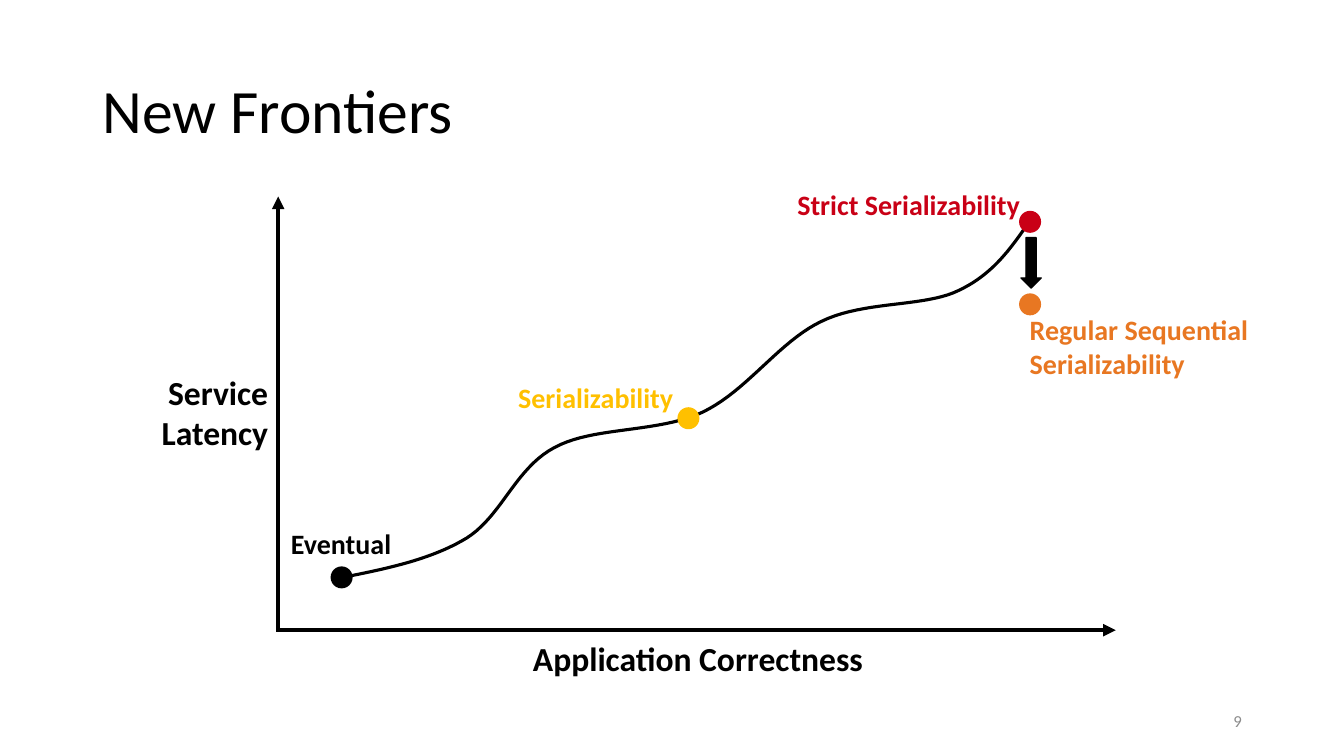
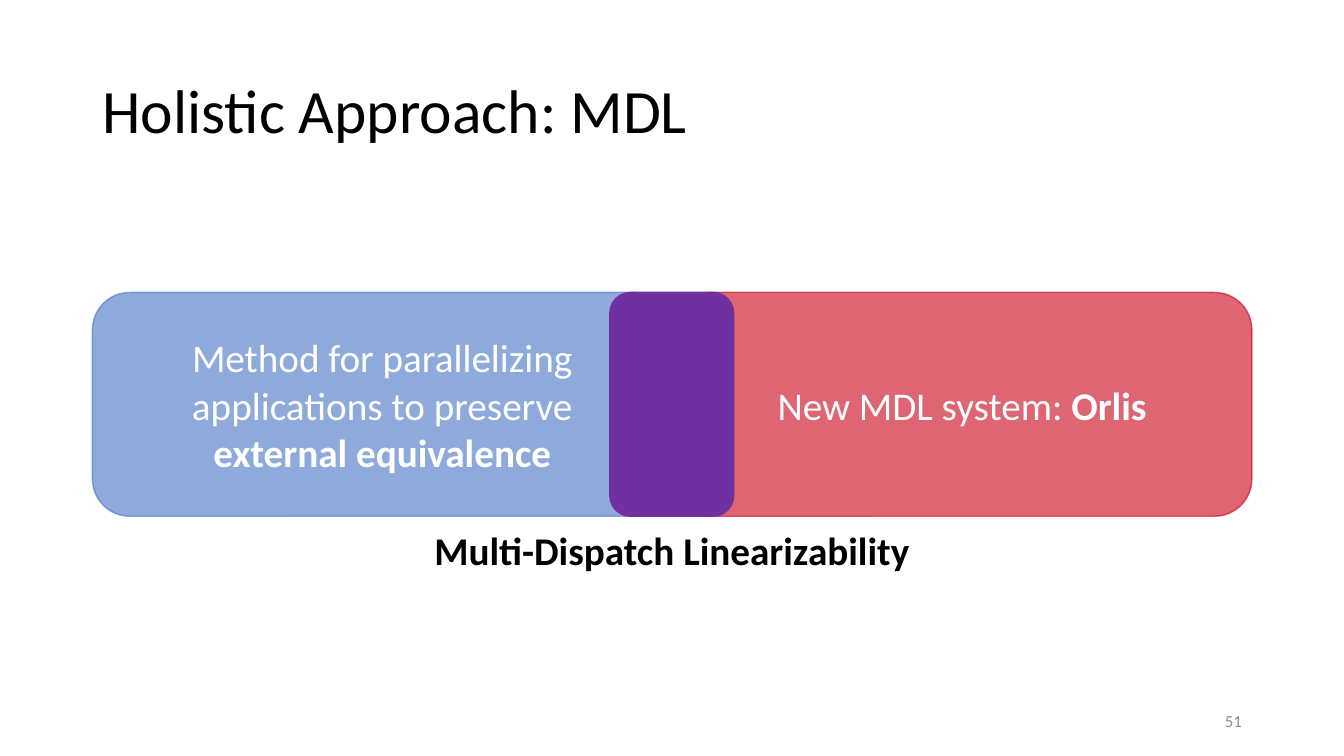
"""Build two slides on consistency models: a latency curve and a layered approach."""
from dataclasses import dataclass

from lxml.etree import SubElement
from pptx import Presentation
from pptx.dml.color import RGBColor
from pptx.enum.shapes import MSO_CONNECTOR, MSO_SHAPE
from pptx.enum.text import MSO_ANCHOR, PP_ALIGN
from pptx.oxml.ns import qn
from pptx.util import Cm, Pt


@dataclass(frozen=True)
class Theme:
    font: str = "Calibri"
    black: str = "000000"
    white: str = "FFFFFF"
    gray: str = "8C8C8C"
    red: str = "C90016"
    gold: str = "FFC000"
    orange: str = "E87722"
    blue: str = "4472C4"
    purple: str = "7030A0"
    title: int = 44
    statement: int = 28
    axis: int = 24
    label: int = 20
    number: int = 12
    axis_line: float = 3
    curve_line: float = 2.25
    outline: float = 1


THEME = Theme()
LEFT, CENTER, RIGHT = PP_ALIGN.LEFT, PP_ALIGN.CENTER, PP_ALIGN.RIGHT
DOT = 0.52
LABEL_WIDTH = 6.17


def lengths(*values):
    return [Cm(value) for value in values]


def bezier(start, first, second, end, steps=20):
    for step in range(1, steps + 1):
        t = step / steps
        weights = ((1 - t) ** 3, 3 * t * (1 - t) ** 2, 3 * t * t * (1 - t), t ** 3)
        points = (start, first, second, end)
        yield tuple(
            Cm(sum(weight * point[axis] for weight, point in zip(weights, points)))
            for axis in (0, 1)
        )


class SlidePainter:
    def __init__(self, deck, theme):
        self.deck = deck
        self.theme = theme
        self.page = None

    def new_page(self, title, number):
        theme = self.theme
        self.page = self.deck.slides.add_slide(self.deck.slide_layouts[6])
        self.text((2.33, 1.02, 29.21, 3.68), [title], theme.title, bold=False,
                  anchor=MSO_ANCHOR.MIDDLE, spacing=0.9)
        self.text((23.93, 17.66, 7.62, 1.01), [str(number)], theme.number, theme.gray,
                  RIGHT, bold=False, anchor=MSO_ANCHOR.MIDDLE)

    def add_lines(self, frame, lines, size, color, align, bold, spacing=None):
        for index, line in enumerate(lines):
            para = frame.paragraphs[0] if index == 0 else frame.add_paragraph()
            para.alignment = align
            if spacing:
                para.line_spacing = spacing
            spans = [(line, bold)] if isinstance(line, str) else line
            for words, strong in spans:
                span = para.add_run()
                span.text = words
                formats = {"name": self.theme.font, "size": Pt(size), "bold": strong}
                for name, value in formats.items():
                    setattr(span.font, name, value)
                span.font.color.rgb = RGBColor.from_string(color)

    def text(self, place, lines, size, color=THEME.black, align=LEFT, bold=True,
             wrap=True, anchor=MSO_ANCHOR.TOP, spacing=None):
        frame = self.page.shapes.add_textbox(*lengths(*place)).text_frame
        for name, value in {"word_wrap": wrap, "vertical_anchor": anchor}.items():
            setattr(frame, name, value)
        self.add_lines(frame, lines, size, color, align, bold, spacing)

    def stroke(self, line, color, width):
        line.color.rgb = RGBColor.from_string(color)
        line.width = Pt(width)

    def shape(self, kind, place, color, lines=(), opacity=100):
        shape = self.page.shapes.add_shape(kind, *lengths(*place))
        shape.shadow.inherit = False
        shape.fill.solid()
        shape.fill.fore_color.rgb = RGBColor.from_string(color)
        self.stroke(shape.line, color, self.theme.outline)
        if opacity < 100:
            for tint in shape._element.spPr.iter(qn("a:srgbClr")):
                SubElement(tint, qn("a:alpha"), val=str(opacity * 1000))
        if lines:
            shape.text_frame.vertical_anchor = MSO_ANCHOR.MIDDLE
            self.add_lines(shape.text_frame, lines, self.theme.statement,
                           self.theme.white, CENTER, False)

    def axis(self, *ends):
        axis = self.page.shapes.add_connector(MSO_CONNECTOR.STRAIGHT, *lengths(*ends))
        self.stroke(axis.line, self.theme.black, self.theme.axis_line)
        properties = axis._element.spPr
        SubElement(properties.find(qn("a:ln")), qn("a:tailEnd"), type="triangle")
        SubElement(properties, qn("a:effectLst"))

    def curve(self, start, segments):
        builder = self.page.shapes.build_freeform(*lengths(*start))
        for first, second, end in segments:
            builder.add_line_segments(bezier(start, first, second, end), close=False)
            start = end
        curve = builder.convert_to_shape()
        curve.shadow.inherit = False
        curve.fill.background()
        self.stroke(curve.line, self.theme.black, self.theme.curve_line)

    def marker(self, center, label_corner, lines, color, align):
        x, y = center
        self.shape(MSO_SHAPE.OVAL, (x - DOT / 2, y - DOT / 2, DOT, DOT), color)
        self.text((*label_corner, LABEL_WIDTH, 0.27 + 0.85 * len(lines)), lines,
                  self.theme.label, color, align)


def draw_frontiers(painter):
    theme = painter.theme
    painter.new_page("New Frontiers", 9)
    painter.axis(7.01, 15.88, 7.01, 4.95)
    painter.axis(6.96, 15.88, 28.12, 15.88)
    painter.text((13.13, 15.95, 8.92, 1.27), ["Application Correctness"], theme.axis,
                 align=CENTER, wrap=False)
    painter.text((3.78, 9.25, 3.23, 2.31), ["Service", "Latency"], theme.axis,
                 align=RIGHT, wrap=False)
    painter.curve((25.96, 5.56), [
        ((25.5, 6.22), (25.04, 6.91), (24.16, 7.32)),
        ((23.29, 7.75), (21.79, 7.57), (20.7, 8.1)),
        ((19.63, 8.61), (18.82, 9.86), (17.7, 10.39)),
        ((16.56, 10.92), (14.96, 10.74), (13.97, 11.28)),
        ((12.98, 11.81), (12.65, 13), (11.76, 13.56)),
        ((10.87, 14.1), (9.75, 14.33), (8.64, 14.55)),
    ])
    markers = [
        ((25.96, 5.59), (19.79, 4.6), ["Strict Serializability"], theme.red, RIGHT),
        ((17.35, 10.54), (11.05, 9.47), ["Serializability"], theme.gold, RIGHT),
        ((8.61, 14.55), (5.51, 13.13), ["Eventual"], theme.black, CENTER),
        ((25.96, 7.67), (25.7, 7.75), ["Regular Sequential", "Serializability"],
         theme.orange, LEFT),
    ]
    for marker in markers:
        painter.marker(*marker)
    painter.shape(MSO_SHAPE.DOWN_ARROW, (25.73, 5.99, 0.51, 1.27), theme.black)


def draw_approach(painter):
    theme = painter.theme
    painter.new_page("Holistic Approach: MDL", 51)
    left, top, width, height = 2.33, 7.37, 14.61, 5.64
    panels = [
        (left + width, width, theme.red,
         [[("New MDL system: ", False), ("Orlis", True)]], 60),
        (left, width, theme.blue,
         ["Method for parallelizing applications to preserve",
          [("external equivalence", True)]], 60),
        (15.37, 3.12, theme.purple, [], 100),
    ]
    for x, panel_width, color, lines, opacity in panels:
        painter.shape(MSO_SHAPE.ROUNDED_RECTANGLE, (x, top, panel_width, height),
                      color, lines, opacity)
    painter.text((10.62, 13.13, 12.62, 1.45), ["Multi-Dispatch Linearizability"],
                 theme.statement, align=CENTER, wrap=False)


def main():
    deck = Presentation()
    deck.slide_width, deck.slide_height = lengths(33.87, 19.05)
    painter = SlidePainter(deck, THEME)
    draw_frontiers(painter)
    draw_approach(painter)
    deck.save("out.pptx")


if __name__ == "__main__":
    main()
